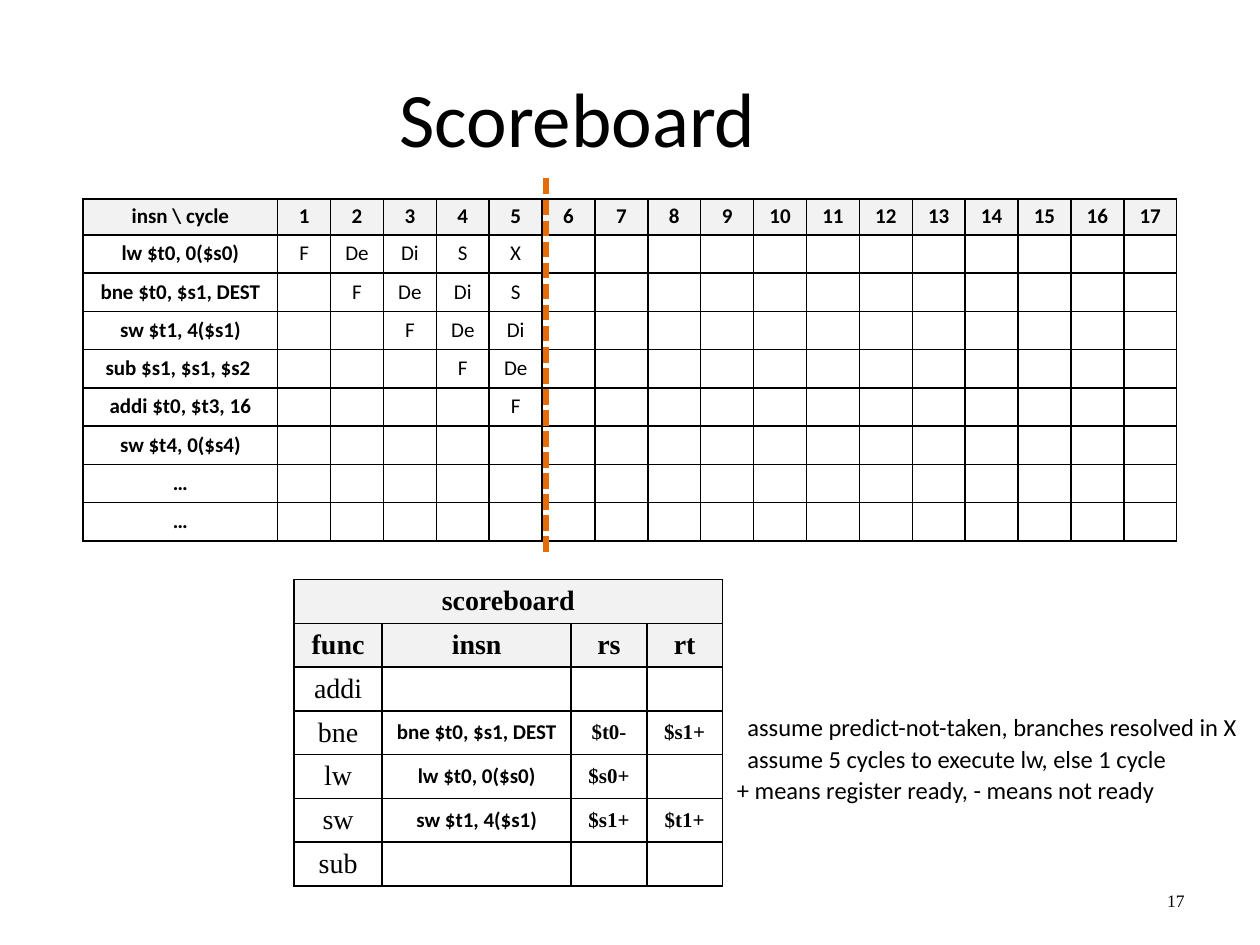
from dataclasses import dataclass

from lxml.etree import SubElement
from pptx import Presentation
from pptx.dml.color import RGBColor
from pptx.enum.dml import MSO_LINE_DASH_STYLE as Dash
from pptx.enum.shapes import MSO_CONNECTOR as Connector
from pptx.enum.text import MSO_VERTICAL_ANCHOR as Anchor, PP_PARAGRAPH_ALIGNMENT as Align
from pptx.oxml.ns import qn
from pptx.util import Pt

COLORS = {"ink": "000000", "header": "F2F2F2", "cell": "FFFFFF", "marker": "E46C0A"}
SANS, SERIF = "Calibri", "Times New Roman"
CYCLES = 17


@dataclass(frozen=True)
class Style:
    font: str
    size: float
    bold: bool = False
    spacing: float = 1.0


@dataclass(frozen=True)
class Note:
    text: str
    left: float
    top: float
    width: float
    height: float
    style: Style
    align: Align = Align.LEFT


@dataclass(frozen=True)
class Grid:
    """A table: first_styles serve the header rows, column_styles the others."""
    left: float
    top: float
    widths: list[float]
    heights: list[float]
    rows: list[list[str]]
    header_rows: int
    header_style: Style
    column_styles: list[Style]


LABEL = Style(SANS, 12, True, 0.9)
STAGE = Style(SANS, 12, False, 0.9)
NOTE = Style(SANS, 14)
FUNCTION = Style(SERIF, 16)
HEADING = Style(SERIF, 16, True)
REGISTER = Style(SERIF, 12, True)

# Each instruction, the cycle it is fetched in, and its stages from there on
INSTRUCTIONS = [
    ("lw $t0, 0($s0)", 1, ["F", "De", "Di", "S", "X"]),
    ("bne $t0, $s1, DEST", 2, ["F", "De", "Di", "S"]),
    ("sw $t1, 4($s1)", 3, ["F", "De", "Di"]),
    ("sub $s1, $s1, $s2 ", 4, ["F", "De"]),
    ("addi $t0, $t3, 16", 5, ["F"]),
    ("sw $t4, 0($s4)", 1, []),
    ("…", 1, []),
    ("…", 1, []),
]

PIPELINE = Grid(
    left=47.5, top=113.8,
    widths=[111.2] + [30.24] * CYCLES,
    heights=[20.4] + [21.85] * len(INSTRUCTIONS),
    rows=[["insn \\ cycle"] + [str(cycle) for cycle in range(1, CYCLES + 1)]]
    + [[name] + [""] * (start - 1) + stages for name, start, stages in INSTRUCTIONS],
    header_rows=1, header_style=LABEL,
    column_styles=[LABEL] + [STAGE] * CYCLES,
)

SCOREBOARD = Grid(
    left=168, top=331.2,
    widths=[50.4, 108, 43.2, 43.2],
    heights=[25] * 7,
    rows=[
        ["scoreboard"],
        ["func", "insn", "rs", "rt"],
        ["addi"],
        ["bne", "bne $t0, $s1, DEST", "$t0-", "$s1+"],
        ["lw", "lw $t0, 0($s0)", "$s0+"],
        ["sw", "sw $t1, 4($s1)", "$s1+", "$t1+"],
        ["sub"],
    ],
    header_rows=2, header_style=HEADING,
    column_styles=[FUNCTION, LABEL, REGISTER, REGISTER],
)

NOTES = [
    Note("assume predict-not-taken, branches resolved in X", 420, 397.5, 300, 36, NOTE),
    Note("assume 5 cycles to execute lw, else 1 cycle", 420, 415.5, 276, 36, NOTE),
    Note("+ means register ready, - means not ready", 414, 433.5, 276, 36, NOTE),
    Note("17", 600, 500.4, 84, 28.8, Style(SERIF, 10), Align.RIGHT),
]


def color(name: str) -> RGBColor:
    return RGBColor.from_string(COLORS[name])


def write(text_frame, text: str, style: Style, align: Align) -> None:
    text_frame.text = text
    paragraph = text_frame.paragraphs[0]
    paragraph.alignment = align
    if not text:
        # Keeps the height of a blank cell at that of the text size
        SubElement(paragraph._p, qn("a:endParaRPr"), sz=str(int(style.size * 100)))
        return
    paragraph.line_spacing = style.spacing
    for run in paragraph.runs:
        run.font.name = style.font
        run.font.size = Pt(style.size)
        run.font.bold = style.bold
        run.font.color.rgb = color("ink")


def add_borders(cell) -> None:
    properties = cell._tc.get_or_add_tcPr()
    for side in ("lnL", "lnR", "lnT", "lnB"):
        line = SubElement(properties, qn(f"a:{side}"), w=str(Pt(1)))
        SubElement(SubElement(line, qn("a:solidFill")), qn("a:srgbClr"), val=COLORS["ink"])


def draw_grid(slide, grid: Grid):
    frame = slide.shapes.add_table(
        len(grid.heights), len(grid.widths), Pt(grid.left), Pt(grid.top),
        Pt(sum(grid.widths)), Pt(sum(grid.heights)))
    table = frame.table
    table.first_row = table.horz_banding = False
    for column, width in zip(table.columns, grid.widths):
        column.width = Pt(width)
    for row, height in zip(table.rows, grid.heights):
        row.height = Pt(height)
    for row_index, texts in enumerate(grid.rows):
        is_header = row_index < grid.header_rows
        padded = texts + [""] * (len(grid.widths) - len(texts))
        for column_index, text in enumerate(padded):
            cell = table.cell(row_index, column_index)
            cell.vertical_anchor = Anchor.MIDDLE
            style = grid.header_style if is_header else grid.column_styles[column_index]
            write(cell.text_frame, text, style, Align.CENTER)
            add_borders(cell)
            cell.fill.solid()
            cell.fill.fore_color.rgb = color("header" if is_header else "cell")
    return table


def draw_cycle_marker(slide, x: float, top: float, bottom: float) -> None:
    line = slide.shapes.add_connector(Connector.STRAIGHT, Pt(x), Pt(top), Pt(x), Pt(bottom))
    line.line.color.rgb = color("marker")
    line.line.width = Pt(3)
    line.line.dash_style = Dash.SQUARE_DOT
    SubElement(line._element.spPr, qn("a:effectLst"))


def draw_note(slide, note: Note) -> None:
    box = slide.shapes.add_textbox(Pt(note.left), Pt(note.top), Pt(note.width), Pt(note.height))
    box.text_frame.word_wrap = True
    box.text_frame.vertical_anchor = Anchor.MIDDLE
    write(box.text_frame, note.text, note.style, note.align)


def main() -> None:
    presentation = Presentation()
    presentation.slide_width, presentation.slide_height = Pt(720), Pt(540)
    slide = presentation.slides.add_slide(presentation.slide_layouts[5])

    title = slide.shapes.title
    title.left, title.top, title.width, title.height = Pt(36), Pt(21.6), Pt(588), Pt(90)
    title.text_frame.vertical_anchor = Anchor.MIDDLE
    write(title.text_frame, "Scoreboard", Style(SANS, 44), Align.CENTER)

    draw_grid(slide, PIPELINE)
    scoreboard = draw_grid(slide, SCOREBOARD)
    scoreboard.cell(0, 0).merge(scoreboard.cell(0, 3))
    draw_cycle_marker(slide, 312, 102, 318)
    for note in NOTES:
        draw_note(slide, note)

    presentation.save("out.pptx")


if __name__ == "__main__":
    main()
